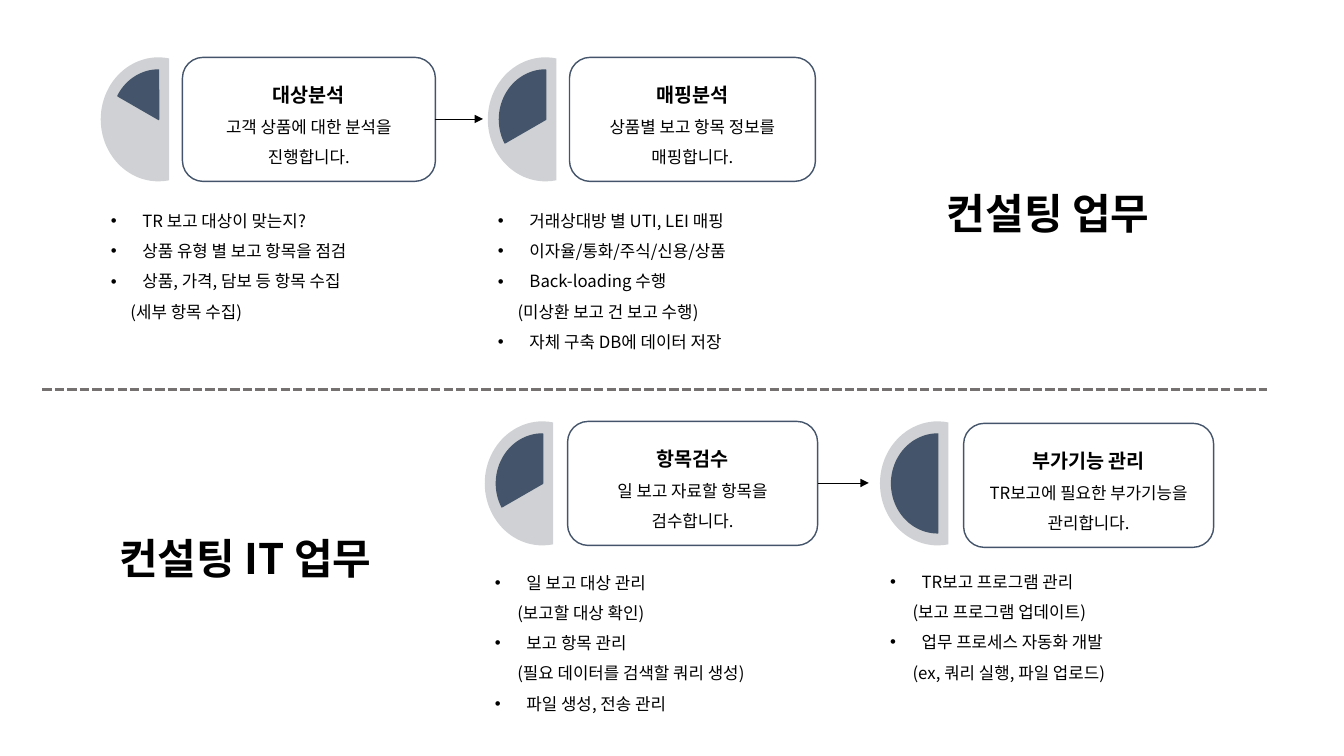
from lxml.etree import SubElement
from pptx import Presentation
from pptx.dml.color import RGBColor
from pptx.enum.dml import MSO_LINE
from pptx.enum.shapes import MSO_CONNECTOR, MSO_SHAPE
from pptx.enum.text import MSO_ANCHOR, MSO_AUTO_SIZE, PP_ALIGN
from pptx.oxml.ns import qn
from pptx.util import Pt

FONT = "Noto Sans CJK KR"
BLACK = RGBColor(0x00, 0x00, 0x00)
NAVY = RGBColor(0x44, 0x54, 0x6A)
SILVER = RGBColor(0xCF, 0xD1, 0xD4)
GRAY = RGBColor(0x76, 0x71, 0x71)
DIAL_H = 88.6
TOP_ROW, BOTTOM_ROW = 41, 301

STAGES = [
    dict(left=72, top=TOP_ROW, start=126, box_left=130.3, box_top=41, box_width=180.7,
         name="대상분석", summary="고객 상품에 대한 분석을 진행합니다.",
         list_top=139.7, list_width=262, note_indent=14,
         items=["TR 보고 대상이 맞는지?", "상품 유형 별 보고 항목을 점검",
                "상품, 가격, 담보 등 항목 수집", "(세부 항목 수집)"]),
    dict(left=348.5, top=TOP_ROW, start=90, box_left=406.8, box_top=41, box_width=175.7,
         name="매핑분석", summary="상품별 보고 항목 정보를 매핑합니다.",
         list_top=139.7, list_width=261, note_indent=14,
         items=["거래상대방 별 UTI, LEI 매핑", "이자율/통화/주식/신용/상품",
                "Back-loading 수행", "(미상환 보고 건 보고 수행)",
                "자체 구축 DB에 데이터 저장"]),
    dict(left=346.3, top=BOTTOM_ROW, start=90, box_left=405.4, box_top=301, box_width=178.6,
         name="항목검수", summary="일 보고 자료할 항목을 검수합니다.",
         list_top=398, list_width=268, note_indent=16,
         items=["일 보고 대상 관리", "(보고할 대상 확인)", "보고 항목 관리",
                "(필요 데이터를 검색할 쿼리 생성)", "파일 생성, 전송 관리"]),
    dict(left=628.6, top=BOTTOM_ROW, start=54, box_left=688.3, box_top=302.4, box_width=178.6,
         name="부가기능 관리", summary="TR보고에 필요한 부가기능을 관리합니다.",
         list_top=397.5, list_width=238, note_indent=16,
         items=["TR보고 프로그램 관리", "(보고 프로그램 업데이트)",
                "업무 프로세스 자동화 개발", "(ex, 쿼리 실행, 파일 업로드)"]),
]


def write(p, text, size=12, bold=False, align=PP_ALIGN.CENTER):
    """Write one formatted run into a paragraph."""
    p.alignment = align
    p.line_spacing = 1.5
    p.space_before = p.space_after = Pt(0)
    r = p.add_run()
    r.text = text
    r.font.size = Pt(size)
    r.font.bold = bold
    r.font.color.rgb = BLACK
    r.font.name = FONT
    SubElement(r.font._element, qn("a:ea"), typeface=FONT)


def place(sp, left, top, width, height):
    """Move a text shape and let it grow downwards with its text."""
    sp.left, sp.top, sp.width, sp.height = Pt(left), Pt(top), Pt(width), Pt(height)
    tf = sp.text_frame
    tf.word_wrap = True
    tf.vertical_anchor = MSO_ANCHOR.TOP
    tf.auto_size = MSO_AUTO_SIZE.SHAPE_TO_FIT_TEXT
    return tf


def add_preset(slide, kind, left, top, width, height, fill=None, line=None):
    """Add a flat preset shape with optional fill and outline."""
    sp = slide.shapes.add_shape(kind, Pt(left), Pt(top), Pt(width), Pt(height))
    sp.shadow.inherit = False
    if fill is None:
        sp.fill.background()
    else:
        sp.fill.solid()
        sp.fill.fore_color.rgb = fill
    if line is None:
        sp.line.fill.background()
    else:
        sp.line.color.rgb = line
        sp.line.width = Pt(1)
    return sp


def add_dial(slide, left, top, start):
    """Add a half disc holding a progress wedge that ends at the top."""
    disc = add_preset(slide, MSO_SHAPE.CHORD, left, top, 82.5, DIAL_H, fill=SILVER)
    disc.adjustments[0], disc.adjustments[1] = 48, 168
    wedge = add_preset(slide, MSO_SHAPE.PIE, left + 8.3, top + 9, 66, 70.6,
                       fill=NAVY, line=NAVY)
    wedge.adjustments[0], wedge.adjustments[1] = start, 162


def add_card(slide, left, top, width, name, summary):
    """Add a rounded card with a bold name and a summary."""
    sp = add_preset(slide, MSO_SHAPE.ROUNDED_RECTANGLE, left, top, width, DIAL_H, line=NAVY)
    tf = sp.text_frame
    tf.word_wrap = True
    tf.vertical_anchor = MSO_ANCHOR.MIDDLE
    write(tf.paragraphs[0], name, size=14, bold=True)
    write(tf.add_paragraph(), summary)


def fill_list(sp, left, top, width, items, note_indent):
    """Fill a body placeholder; items in parentheses are notes without bullets."""
    tf = place(sp, left, top, width, 22 * len(items) + 7)
    for i, item in enumerate(items):
        p = tf.add_paragraph() if i else tf.paragraphs[0]
        write(p, item, align=PP_ALIGN.LEFT)
        pPr = p._p.get_or_add_pPr()
        is_note = item.startswith("(")
        pPr.set("marL", str(Pt(note_indent if is_note else 22.5)))
        pPr.set("indent", str(Pt(0 if is_note else -22.5)))
        if is_note:
            SubElement(pPr, qn("a:buNone"))
        else:
            SubElement(pPr, qn("a:buFont"), typeface="Arial")
            SubElement(pPr, qn("a:buChar"), char="•")


def add_line(slide, x1, x2, y, color, width, dash=None, arrow=False):
    """Add a horizontal line, dashed or with an arrowhead if asked."""
    line = slide.shapes.add_connector(MSO_CONNECTOR.STRAIGHT, Pt(x1), Pt(y), Pt(x2), Pt(y))
    line.line.color.rgb = color
    line.line.width = Pt(width)
    if dash is not None:
        line.line.dash_style = dash
    if arrow:
        SubElement(line.line._get_or_add_ln(), qn("a:tailEnd"), type="triangle")
    SubElement(line._element.spPr, qn("a:effectLst"))


def main():
    """Build the slide and save it."""
    prs = Presentation()
    prs.slide_width, prs.slide_height = Pt(960), Pt(540)
    slide = prs.slides.add_slide(prs.slide_layouts.get_by_name("Comparison"))
    title, *bodies = slide.placeholders

    add_line(slide, 30.2, 905, 278, GRAY, 2.25, dash=MSO_LINE.SQUARE_DOT)
    tf = place(title, 640, 112.3, 217.5, 55)
    write(tf.paragraphs[0], "컨설팅 업무", size=30, bold=True)
    it_heading = slide.shapes.add_textbox(0, 0, 0, 0)
    tf = place(it_heading, 57.6, 358.6, 235.5, 62)
    write(tf.paragraphs[0], "컨설팅 IT 업무", size=30, bold=True)

    for stage, body in zip(STAGES, bodies):
        add_dial(slide, stage["left"], stage["top"], stage["start"])
        add_card(slide, stage["box_left"], stage["box_top"], stage["box_width"],
                 stage["name"], stage["summary"])
        fill_list(body, stage["left"], stage["list_top"], stage["list_width"],
                  stage["items"], stage["note_indent"])
    add_line(slide, 310.5, 345, 85, BLACK, 0.5, arrow=True)
    add_line(slide, 584.6, 620.6, 345, BLACK, 0.5, arrow=True)
    prs.save("out.pptx")


if __name__ == "__main__":
    main()
